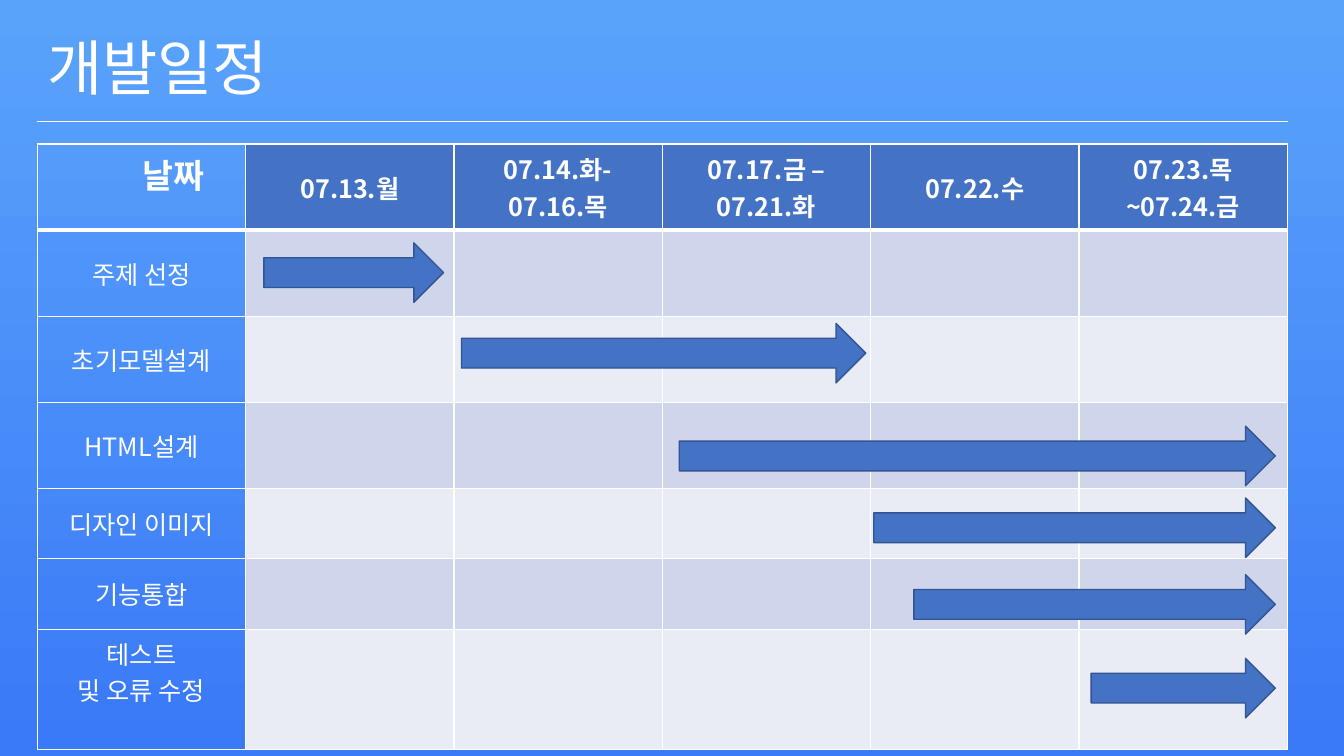
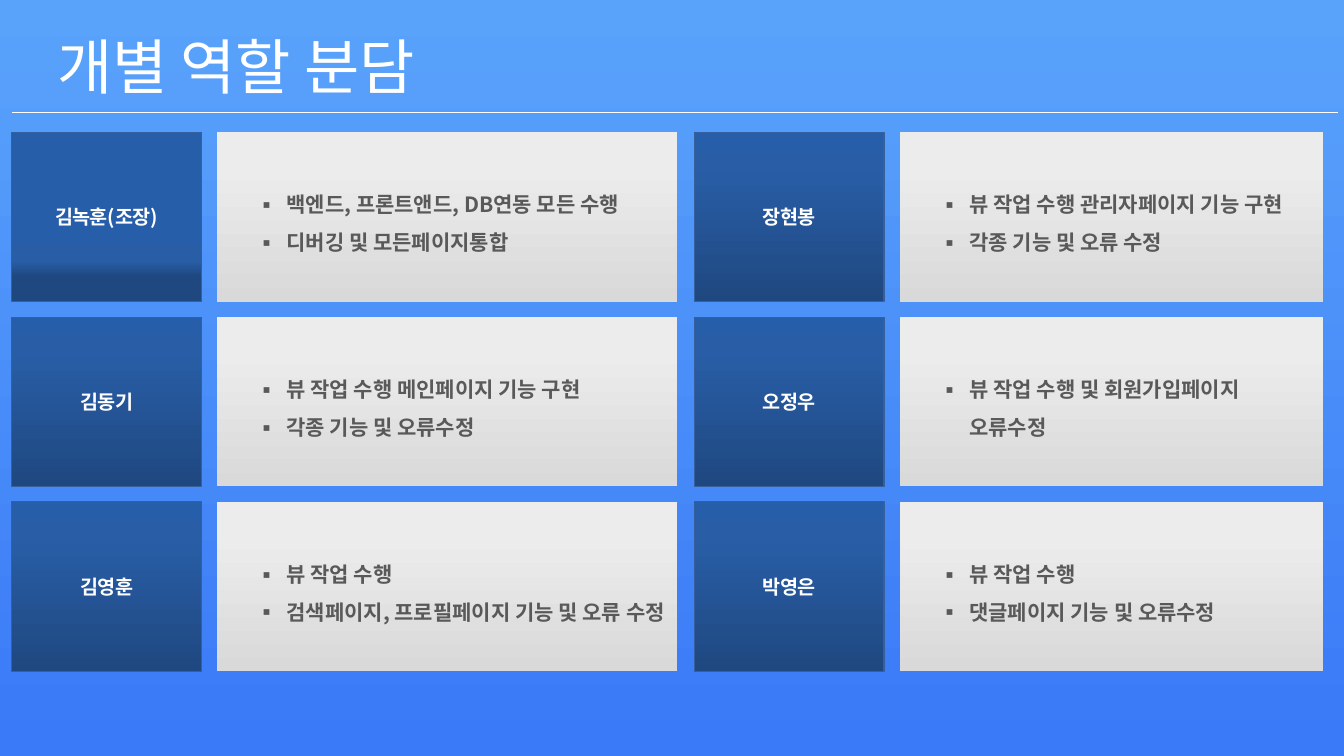
from dataclasses import dataclass

from lxml.etree import SubElement
from pptx import Presentation
from pptx.dml.color import RGBColor
from pptx.enum.shapes import MSO_CONNECTOR, MSO_SHAPE
from pptx.enum.text import MSO_ANCHOR, PP_ALIGN
from pptx.oxml import parse_xml
from pptx.oxml.ns import nsdecls, qn
from pptx.util import Cm, Pt

FONT = "Noto Sans CJK KR"
WHITE, BLUE, ARROW_EDGE = "FFFFFF", "4472C4", "325491"
NAME_EDGE, DETAIL_TEXT = "35609C", "595959"
BANDS = ("CFD5EA", "E9EBF5")
BACKDROP = ((0, "5AA3FB"), (100, "3A79F7"))
NAME_FADE = ((0, "1F4880"), (80, "295EA7"), (100, "265EAA"))
LEADER_FADE = ((15, "1F4880"), (24, "295EA7"), (45, "265EAA"))
DETAIL_FADE = ((0, "D9D9D9"), (80, "ECECEC"))


@dataclass(frozen=True)
class Heading:
    text: str
    left: float
    top: float
    width: float
    height: float
    rule_left: float
    rule_right: float
    rule_y: float


@dataclass(frozen=True)
class Task:
    lines: tuple[str, ...]
    row_height: float
    start: float
    end: float
    top: float


@dataclass(frozen=True)
class Member:
    name: str
    duties: tuple[str, ...]
    fade: tuple = NAME_FADE


@dataclass(frozen=True)
class RoleColumn:
    name_left: float
    detail_left: float
    detail_width: float
    members: tuple[Member, ...]


SCHEDULE = Heading("개발일정", 0.94, 0.53, 8.23, 2.54, 0.94, 32.46, 3.05)
ROLES = Heading("개별 역할 분담", 1.19, 0.58, 11.25, 2.36, 0.3, 33.71, 2.84)

DATES = (
    ("07.13.월",),
    ("07.14.화-", "07.16.목"),
    ("07.17.금 –", "07.21.화"),
    ("07.22.수",),
    ("07.23.목", "~07.24.금"),
)
LAST_DAY = 32.14
TASKS = (
    Task(("주제 선정",), 2.17, 6.65, 11.18, 6.12),
    Task(("초기모델설계",), 2.17, 11.63, 21.82, 8.15),
    Task(("HTML설계",), 2.17, 17.12, LAST_DAY, 10.74),
    Task(("디자인 이미지",), 1.76, 22.02, LAST_DAY, 12.55),
    Task(("기능통합",), 1.79, 23.03, LAST_DAY, 14.48),
    Task(("테스트", "및 오류 수정"), 3.02, 27.5, LAST_DAY, 16.59),
)
HEADER_HEIGHT, COLUMN_WIDTH, ARROW_HEIGHT = 2.17, 5.25, 1.5
TABLE_LEFT, TABLE_TOP = 0.94, 3.63

ROLE_COLUMNS = (
    RoleColumn(0.3, 5.47, 11.6, (
        Member("김녹훈(조장)", ("백엔드, 프론트앤드, DB연동 모든 수행", "디버깅 및 모든페이지통합"), LEADER_FADE),
        Member("김동기", ("뷰 작업 수행 메인페이지 기능 구현", "각종 기능 및 오류수정")),
        Member("김영훈", ("뷰 작업 수행", "검색페이지, 프로필페이지 기능 및 오류 수정")),
    )),
    RoleColumn(17.5, 22.68, 10.67, (
        Member("장현봉", ("뷰 작업 수행 관리자페이지 기능 구현", "각종 기능 및 오류 수정")),
        Member("오정우", ("뷰 작업 수행 및 회원가입페이지 오류수정",)),
        Member("박영은", ("뷰 작업 수행", "댓글페이지 기능 및 오류수정")),
    )),
)
ROLES_TOP, ROLE_PITCH, ROLE_HEIGHT, NAME_WIDTH = 3.33, 4.66, 4.27, 4.78


def rgb(code: str) -> RGBColor:
    return RGBColor.from_string(code)


def fade(fill, owner, stops, angle: float) -> None:
    fill.gradient()
    fill.gradient_angle = angle
    stop_list = owner.find(".//" + qn("a:gsLst"))
    del stop_list[:]
    for position, code in stops:
        stop = SubElement(stop_list, qn("a:gs"), pos=str(position * 1000))
        SubElement(stop, qn("a:srgbClr"), val=code)


def add_bullet(paragraph, color: str) -> None:
    properties = paragraph._p.get_or_add_pPr()
    properties.set("marL", str(Cm(1.5)))
    properties.set("indent", str(-Cm(0.76)))
    tint = SubElement(properties, qn("a:buClr"))
    SubElement(tint, qn("a:srgbClr"), val=color)
    SubElement(properties, qn("a:buFont"), typeface=FONT)
    SubElement(properties, qn("a:buChar"), char="▪")


def write(frame, lines: tuple[str, ...], *, size: float = 18, color: str = WHITE,
          bold: bool = False, align=PP_ALIGN.CENTER, line_spacing: float = 1.0,
          tracking: float = 0, bullet: bool = False) -> None:
    frame.word_wrap = True
    for index, line in enumerate(lines):
        paragraph = frame.add_paragraph() if index else frame.paragraphs[0]
        paragraph.alignment = align
        paragraph.line_spacing = line_spacing
        if bullet:
            add_bullet(paragraph, color)
        run = paragraph.add_run()
        run.text = line
        run.font.size = Pt(size)
        run.font.bold = bold
        run.font.color.rgb = rgb(color)
        run.font.name = FONT
        properties = run._r.get_or_add_rPr()
        SubElement(properties, qn("a:ea"), typeface=FONT)
        if tracking:
            properties.set("spc", str(round(tracking * 100)))


def add_block(slide, preset, left: float, top: float, width: float, height: float):
    block = slide.shapes.add_shape(preset, Cm(left), Cm(top), Cm(width), Cm(height))
    block.shadow.inherit = False
    block.text_frame.vertical_anchor = MSO_ANCHOR.MIDDLE
    return block


def outline(block, color: str, width: float) -> None:
    block.line.color.rgb = rgb(color)
    block.line.width = Pt(width)


def add_headed_slide(deck, heading: Heading):
    slide = deck.slides.add_slide(deck.slide_layouts[6])
    title = slide.shapes.add_textbox(
        Cm(heading.left), Cm(heading.top), Cm(heading.width), Cm(heading.height))
    title.text_frame.vertical_anchor = MSO_ANCHOR.MIDDLE
    write(title.text_frame, (heading.text,), size=42.9,
          align=PP_ALIGN.LEFT, line_spacing=0.9)
    rule = slide.shapes.add_connector(
        MSO_CONNECTOR.STRAIGHT, Cm(heading.rule_left), Cm(heading.rule_y),
        Cm(heading.rule_right), Cm(heading.rule_y))
    outline(rule, WHITE, 0.5)
    SubElement(rule._element.spPr, qn("a:effectLst"))
    return slide


def set_borders(cell, top: float, bottom: float) -> None:
    properties = cell._tc.get_or_add_tcPr()
    widths = (("lnL", 1), ("lnR", 1), ("lnT", top), ("lnB", bottom))
    for index, (side, width) in enumerate(widths):
        properties.insert(index, parse_xml(
            f'<a:{side} {nsdecls("a")} w="{Pt(width)}"><a:solidFill>'
            f'<a:srgbClr val="{WHITE}"/></a:solidFill></a:{side}>'))


def add_schedule_table(slide) -> None:
    heights = (HEADER_HEIGHT, *(task.row_height for task in TASKS))
    column_count = len(DATES) + 1
    table = slide.shapes.add_table(
        len(heights), column_count, Cm(TABLE_LEFT), Cm(TABLE_TOP),
        Cm(COLUMN_WIDTH * column_count), Cm(sum(heights))).table
    table.first_row = table.horz_banding = False
    for column in table.columns:
        column.width = Cm(COLUMN_WIDTH)
    for row_index, height in enumerate(heights):
        table.rows[row_index].height = Cm(height)
        for column_index in range(column_count):
            cell = table.cell(row_index, column_index)
            cell.vertical_anchor = MSO_ANCHOR.MIDDLE
            if column_index == 0:
                cell.fill.background()
            else:
                cell.fill.solid()
                band = BANDS[(row_index - 1) % 2] if row_index else BLUE
                cell.fill.fore_color.rgb = rgb(band)
            set_borders(cell, 3 if row_index == 1 else 1, 1 if row_index else 3)

    corner = table.cell(0, 0)
    corner.vertical_anchor = MSO_ANCHOR.TOP
    corner.margin_left = Cm(1.88)
    write(corner.text_frame, ("날짜",), size=24, bold=True)
    for column_index, date in enumerate(DATES, 1):
        write(table.cell(0, column_index).text_frame, date, bold=True)
    for row_index, task in enumerate(TASKS, 1):
        write(table.cell(row_index, 0).text_frame, task.lines)
    table.cell(len(TASKS), 0).margin_bottom = Cm(1.04)


def build_schedule(deck) -> None:
    slide = add_headed_slide(deck, SCHEDULE)
    add_schedule_table(slide)
    for task in TASKS:
        arrow = add_block(slide, MSO_SHAPE.RIGHT_ARROW, task.start, task.top,
                          task.end - task.start, ARROW_HEIGHT)
        arrow.fill.solid()
        arrow.fill.fore_color.rgb = rgb(BLUE)
        outline(arrow, ARROW_EDGE, 1)


def build_roles(deck) -> None:
    slide = add_headed_slide(deck, ROLES)
    for column in ROLE_COLUMNS:
        for index, member in enumerate(column.members):
            top = ROLES_TOP + index * ROLE_PITCH
            name = add_block(slide, MSO_SHAPE.RECTANGLE, column.name_left, top,
                             NAME_WIDTH, ROLE_HEIGHT)
            fade(name.fill, name._element, member.fade, 90)
            outline(name, NAME_EDGE, 0.75)
            write(name.text_frame, (member.name,), size=14, bold=True, tracking=-0.5)
            detail = add_block(slide, MSO_SHAPE.RECTANGLE, column.detail_left, top,
                               column.detail_width, ROLE_HEIGHT)
            fade(detail.fill, detail._element, DETAIL_FADE, 90)
            detail.line.fill.background()
            write(detail.text_frame, member.duties, size=15, color=DETAIL_TEXT,
                  bold=True, align=PP_ALIGN.LEFT, line_spacing=1.5, bullet=True)


def main() -> None:
    deck = Presentation()
    deck.slide_width, deck.slide_height = Cm(33.87), Cm(19.05)
    master = deck.slide_master
    fade(master.background.fill, master._element, BACKDROP, 270)
    build_schedule(deck)
    build_roles(deck)
    deck.save("out.pptx")


if __name__ == "__main__":
    main()
